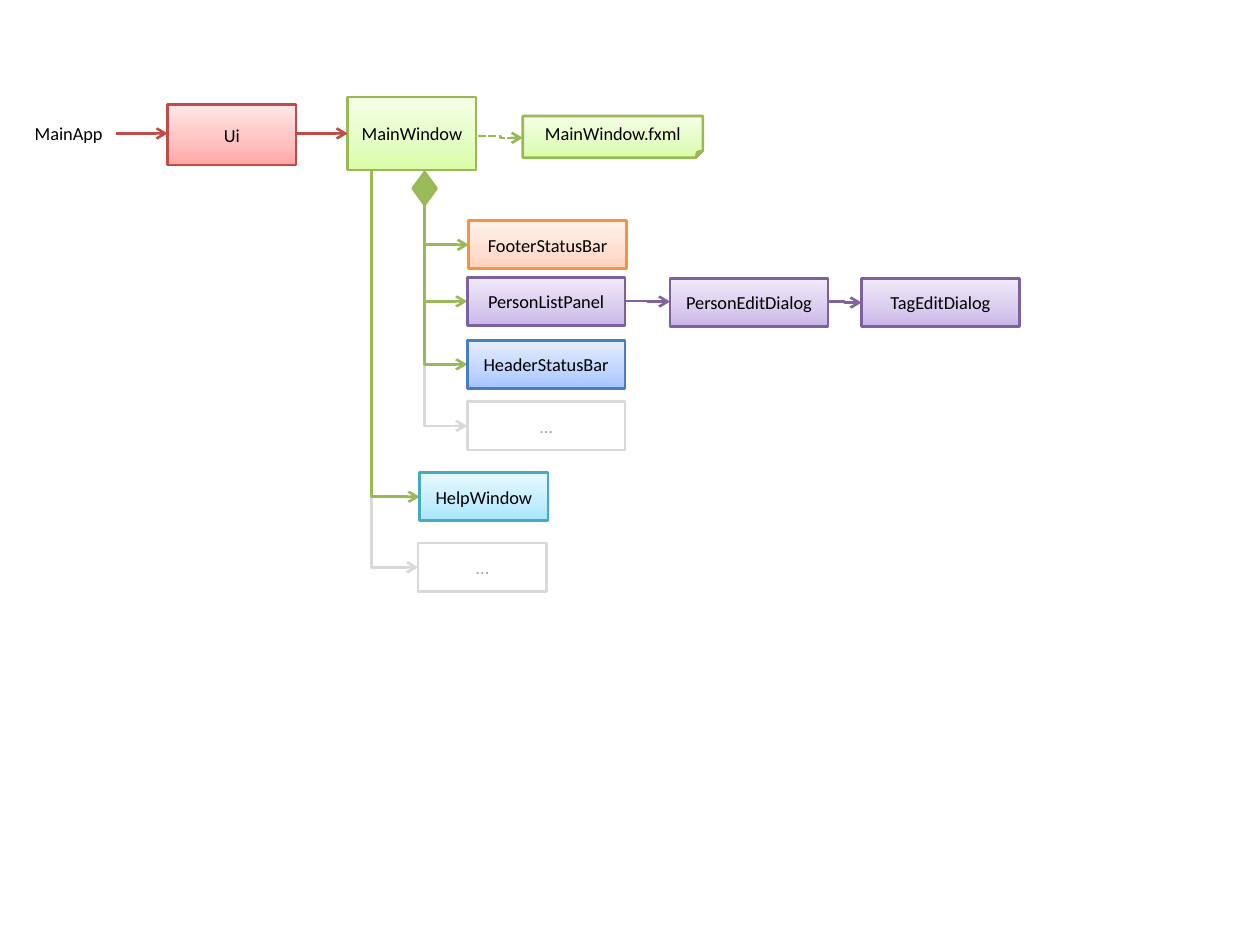
from copy import deepcopy
from dataclasses import dataclass

from lxml import etree
from pptx import Presentation
from pptx.dml.color import RGBColor
from pptx.enum.dml import MSO_LINE
from pptx.enum.shapes import MSO_CONNECTOR, MSO_SHAPE
from pptx.enum.text import MSO_ANCHOR, MSO_AUTO_SIZE, PP_ALIGN
from pptx.oxml.ns import qn
from pptx.util import Cm, Pt

RECT = MSO_SHAPE.RECTANGLE
FOLDED = MSO_SHAPE.FOLDED_CORNER
DECISION = MSO_SHAPE.FLOWCHART_DECISION
STRAIGHT = MSO_CONNECTOR.STRAIGHT
ELBOW = MSO_CONNECTOR.ELBOW
DASHED = MSO_LINE.SQUARE_DOT
CENTER = PP_ALIGN.CENTER
MIDDLE = MSO_ANCHOR.MIDDLE
TOP = MSO_ANCHOR.TOP
GROW = MSO_AUTO_SIZE.SHAPE_TO_FIT_TEXT

COLORS = {
    "red": "BF4C48", "green": "98B955", "teal": "46AAC5", "purple": "7D60A0",
    "orange": "F69240", "blue": "4B7EBC", "gray": "D9D9D9",
    "violet": "8064A2", "diamond": "9BBB59", "black": "000000", "dim": "A6A6A6",
}
GRADIENTS = {
    "red": ("FFA6A5", "FFC0BF", "FFE7E7"),
    "green": ("DAFDA7", "E4FCC2", "F5FFE7"),
    "teal": ("A7E6FF", "C1EDFF", "E7F8FF"),
    "purple": ("C9B5E8", "D8CBEE", "F0EAF9"),
    "orange": ("FFD2BD", "FFDED0", "FFF2ED"),
    "blue": ("A4C4FF", "BFD4FF", "E6EEFF"),
}
STOP_POSITIONS = (0, 0.35, 1)
LINE_WIDTH = Pt(1.5)
FONT = {"name": "Calibri", "size": Pt(10.5)}
ROW_HEIGHT, WINDOW_WIDTH, PANEL_WIDTH = 0.97, 2.59, 3.18


@dataclass(frozen=True)
class Component:
    """A labelled box; lengths in centimetres."""
    label: str
    theme: str
    left: float
    top: float
    width: float = PANEL_WIDTH
    height: float = ROW_HEIGHT
    kind: int = RECT


@dataclass(frozen=True)
class Link:
    """A left-to-right arrow between two points in centimetres."""
    start: tuple
    end: tuple
    color: str
    kind: int = STRAIGHT
    dashed: bool = False


@dataclass(frozen=True)
class Branch:
    """An arrow that drops from a trunk point and turns right to a box."""
    trunk: tuple
    target: Component
    color: str = "green"


def rgb(name: str) -> RGBColor:
    """Look up a named colour."""
    return RGBColor.from_string(COLORS[name])


def write_label(box, text: str, color: str, anchor) -> None:
    """Put one centred line of text in a shape or text box."""
    frame = box.text_frame
    frame.vertical_anchor = anchor
    para = frame.paragraphs[0]
    para.alignment = CENTER
    span = para.add_run()
    span.text = text
    for key, value in FONT.items():
        setattr(span.font, key, value)
    span.font.color.rgb = rgb(color)


def fill_gradient(box, colors: tuple) -> None:
    """Fill a shape with a three-stop vertical gradient."""
    box.fill.gradient()
    box.fill.gradient_angle = 90
    stop_list = box._element.spPr.find(".//" + qn("a:gsLst"))
    stop_list.append(deepcopy(stop_list[-1]))
    for stop, position, color in zip(box.fill.gradient_stops, STOP_POSITIONS, colors):
        stop.position = position
        stop.color.rgb = RGBColor.from_string(color)


def add_outlined(page, kind: int, left: float, top: float, width: float,
                 height: float, color: str):
    """Add an outlined preset shape without a shadow."""
    box = page.shapes.add_shape(kind, Cm(left), Cm(top), Cm(width), Cm(height))
    box.shadow.inherit = False
    box.line.color.rgb = rgb(color)
    box.line.width = LINE_WIDTH
    return box


def draw_component(page, item: Component) -> None:
    """Draw a labelled component box."""
    box = add_outlined(page, item.kind, item.left, item.top, item.width,
                       item.height, item.theme)
    if item.theme in GRADIENTS:
        fill_gradient(box, GRADIENTS[item.theme])
        write_label(box, item.label, "black", MIDDLE)
    else:
        box.fill.background()
        write_label(box, item.label, "dim", MIDDLE)


def draw_link(page, link: Link):
    """Draw an arrow with an open head."""
    line = page.shapes.add_connector(
        link.kind, *(Cm(value) for value in (*link.start, *link.end)))
    line.line.color.rgb = rgb(link.color)
    line.line.width = LINE_WIDTH
    if link.dashed:
        line.line.dash_style = DASHED
    etree.SubElement(line.line._get_or_add_ln(), qn("a:tailEnd"), type="arrow")
    etree.SubElement(line._element.spPr, qn("a:effectLst"))
    return line


def draw_branch(page, branch: Branch) -> None:
    """Draw a one-bend arrow: a turned and mirrored bentConnector2."""
    x, y = branch.trunk
    end_x = branch.target.left
    end_y = branch.target.top + branch.target.height / 2
    across, down = end_x - x, end_y - y
    left, top = (x + end_x - down) / 2, (y + end_y - across) / 2
    line = draw_link(page, Link((left, top), (left + down, top + across),
                                branch.color, ELBOW))
    properties = line._element.spPr
    properties.find(qn("a:prstGeom")).set("prst", "bentConnector2")
    frame = properties.find(qn("a:xfrm"))
    frame.set("rot", "16200000")
    frame.set("flipH", "1")


UI = Component("Ui", "red", 3.38, 2.11, WINDOW_WIDTH, 1.22)
MAIN = Component("MainWindow", "green", 7.01, 1.96, WINDOW_WIDTH, 1.47)
LAYOUT = Component("MainWindow.fxml", "green", 10.54, 2.34, 3.63, 0.84, FOLDED)
HELP = Component("HelpWindow", "teal", 8.46, 9.53, WINDOW_WIDTH)
MORE_WINDOWS = Component("…", "gray", 8.43, 10.95, WINDOW_WIDTH)
FOOTER = Component("FooterStatusBar", "orange", 9.45, 4.45)
PERSONS = Component("PersonListPanel", "purple", 9.42, 5.59)
HEADER = Component("HeaderStatusBar", "blue", 9.42, 6.86)
MORE_PANELS = Component("…", "gray", 9.42, 8.1)
PERSON_EDIT = Component("PersonEditDialog", "purple", 13.51, 5.61)
TAG_EDIT = Component("TagEditDialog", "purple", 17.37, 5.61)
COMPONENTS = (UI, MAIN, LAYOUT, HELP, MORE_WINDOWS, FOOTER, PERSONS, HEADER,
              MORE_PANELS, PERSON_EDIT, TAG_EDIT)

WINDOW_TRUNK, PANEL_TRUNK = (7.49, 3.43), (8.56, 4.11)
BRANCHES = (
    Branch(PANEL_TRUNK, MORE_PANELS, "gray"),
    Branch(WINDOW_TRUNK, MORE_WINDOWS, "gray"),
    Branch(WINDOW_TRUNK, HELP),
    *(Branch(PANEL_TRUNK, panel) for panel in (FOOTER, PERSONS, HEADER)),
)
LINKS = (
    Link((2.34, 2.69), (3.38, 2.69), "red"),
    Link((5.97, 2.69), (7.01, 2.69), "red"),
    Link((9.63, 2.74), (10.54, 2.78), "green", ELBOW, True),
    Link((12.6, 6.07), (13.51, 6.08), "violet", ELBOW),
    Link((16.69, 6.08), (17.37, 6.1), "violet", ELBOW),
)

deck = Presentation()
deck.slide_width, deck.slide_height = Cm(25.4), Cm(19.05)
page = deck.slides.add_slide(deck.slide_layouts[6])
for branch in BRANCHES:
    draw_branch(page, branch)
for item in COMPONENTS:
    draw_component(page, item)
for link in LINKS:
    draw_link(page, link)

diamond = add_outlined(page, DECISION, 8.23, 3.56, 0.66, 0.48, "green")
diamond.rotation = 90
diamond.fill.solid()
diamond.fill.fore_color.rgb = rgb("diamond")

caller = page.shapes.add_textbox(Cm(0.43), Cm(2.34), Cm(1.91), Cm(0.71))
caller.text_frame.word_wrap = False
caller.text_frame.auto_size = GROW
write_label(caller, "MainApp", "black", TOP)

deck.save("out.pptx")
